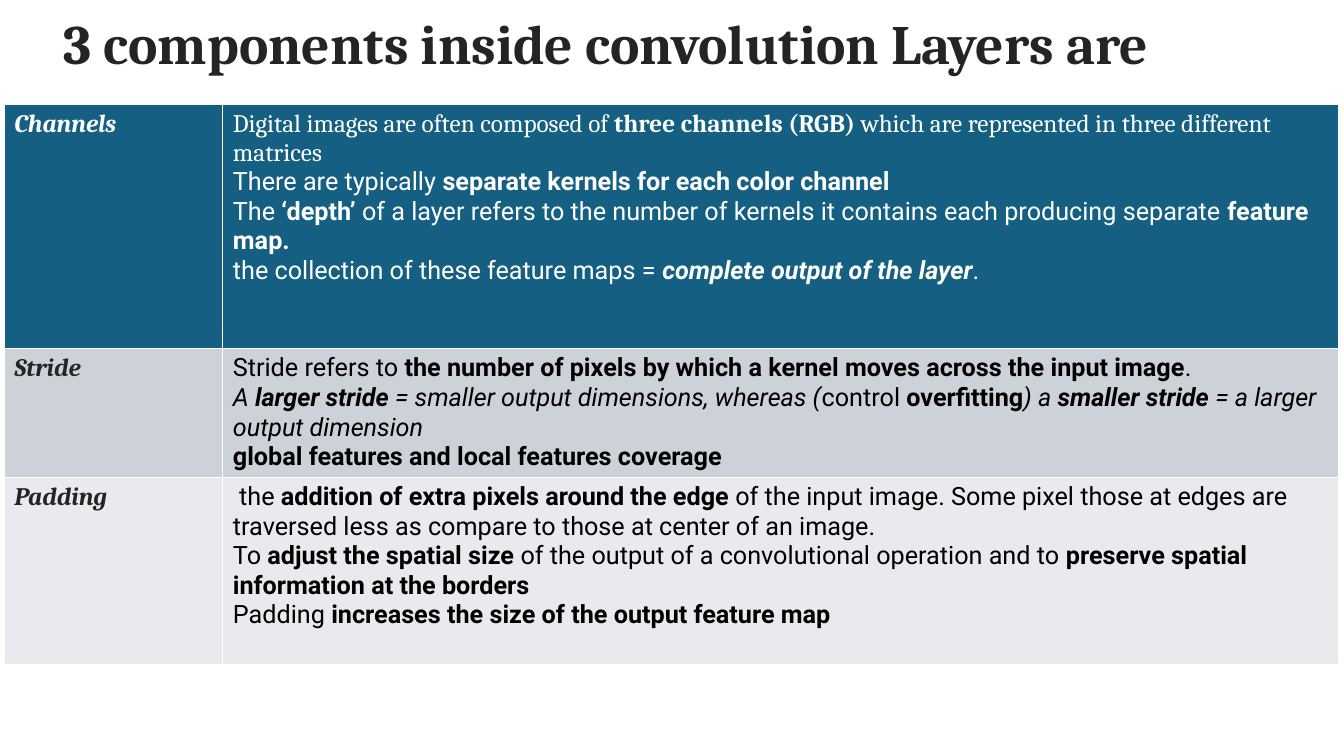
from pptx import Presentation
from pptx.dml.color import RGBColor
from pptx.enum.text import MSO_ANCHOR, MSO_AUTO_SIZE, PP_ALIGN
from pptx.util import Pt

WHITE = RGBColor(0xFF, 0xFF, 0xFF)
BLACK = RGBColor(0, 0, 0)
CHARCOAL = RGBColor(0x24, 0x24, 0x24)
TEAL = RGBColor(0x15, 0x60, 0x82)
GREY = RGBColor(0xCC, 0xD2, 0xD8)
PALE_GREY = RGBColor(0xE8, 0xEA, 0xED)

SERIF, SANS = "Cambria", "Roboto"
COLUMN_WIDTHS = (156.2, 797)

# Each paragraph is a font and its spans; a span is (text, style),
# where the style holds "b" for bold and "i" for italic.
CHANNELS = [
    (SERIF, [("Digital images are often composed of ", ""),
             ("three channels (RGB)", "b"),
             (" which are represented in three different matrices", "")]),
    (SANS, [("There are typically ", ""),
            ("separate kernels for each color channel", "b")]),
    (SANS, [("The ", ""), ("‘depth’", "b"),
            (" of a layer refers to the number of kernels it contains "
             "each producing separate ", ""),
            ("feature map.", "b")]),
    (SANS, [("the collection of these feature maps = ", ""),
            ("complete output of the layer", "bi"), (".", "")]),
]
STRIDE = [
    (SANS, [("Stride refers to ", ""),
            ("the number of pixels by which a kernel moves across the input image", "b"),
            (".", "")]),
    (SANS, [("A ", "i"), ("larger stride", "bi"),
            (" = smaller output dimensions, whereas (", "i"),
            ("control ", ""), ("overfitting", "b"), (") a ", "i"),
            ("smaller stride", "bi"), (" = a larger output dimension", "i")]),
    (SANS, [("global features and local features coverage", "b")]),
]
PADDING = [
    (SANS, [(" the ", ""), ("addition of extra pixels around the edge", "b"),
            (" of the input image. Some pixel those at edges are traversed "
             "less as compare to those at center of an image.", "")]),
    (SANS, [("To ", ""), ("adjust the spatial size", "b"),
            (" of the output of a convolutional operation and to ", ""),
            ("preserve spatial information at the borders", "b")]),
    (SANS, [("Padding ", ""),
            ("increases the size of the output feature map", "b")]),
]

# label, description, row height, fill, label colour, description colour
COMPONENTS = [
    ("Channels", CHANNELS, 174.5, TEAL, WHITE, WHITE),
    ("Stride", STRIDE, 92, GREY, CHARCOAL, BLACK),
    ("Padding", PADDING, 133.5, PALE_GREY, CHARCOAL, BLACK),
]


def set_font(font, name, size, color):
    font.name = name
    font.size = Pt(size)
    font.color.rgb = color


def set_title(page, text):
    title = page.shapes.title
    title.left, title.top = Pt(38.2), Pt(48.2)
    title.width, title.height = Pt(894), Pt(18)
    frame = title.text_frame
    frame.word_wrap = True
    frame.auto_size = MSO_AUTO_SIZE.NONE
    frame.vertical_anchor = MSO_ANCHOR.MIDDLE
    para = frame.paragraphs[0]
    para.text = text
    para.alignment = PP_ALIGN.LEFT
    para.line_spacing = 0.9
    set_font(para.font, SERIF, 39.6, CHARCOAL)
    para.font.bold = True


def fill_cell(cell, paragraphs, fill, color):
    cell.fill.solid()
    cell.fill.fore_color.rgb = fill
    frame = cell.text_frame
    for index, (font_name, spans) in enumerate(paragraphs):
        para = frame.add_paragraph() if index else frame.paragraphs[0]
        set_font(para.font, font_name, 18, color)
        for text, style in spans:
            span = para.add_run()
            span.text = text
            span.font.bold = "b" in style
            span.font.italic = "i" in style


def add_component_table(page):
    height = sum(component[2] for component in COMPONENTS)
    table = page.shapes.add_table(
        len(COMPONENTS), len(COLUMN_WIDTHS),
        Pt(3), Pt(74.5), Pt(sum(COLUMN_WIDTHS)), Pt(height)).table
    for column, width in zip(table.columns, COLUMN_WIDTHS):
        column.width = Pt(width)
    for index, component in enumerate(COMPONENTS):
        label, description, row_height, fill, label_color, color = component
        table.rows[index].height = Pt(row_height)
        fill_cell(table.cell(index, 0), [(SERIF, [(label, "bi")])], fill, label_color)
        fill_cell(table.cell(index, 1), description, fill, color)


def main():
    deck = Presentation()
    deck.slide_width, deck.slide_height = Pt(960), Pt(540)
    page = deck.slides.add_slide(deck.slide_layouts[5])
    set_title(page, "3 components inside convolution Layers are\v")
    add_component_table(page)
    deck.save("out.pptx")


if __name__ == "__main__":
    main()
